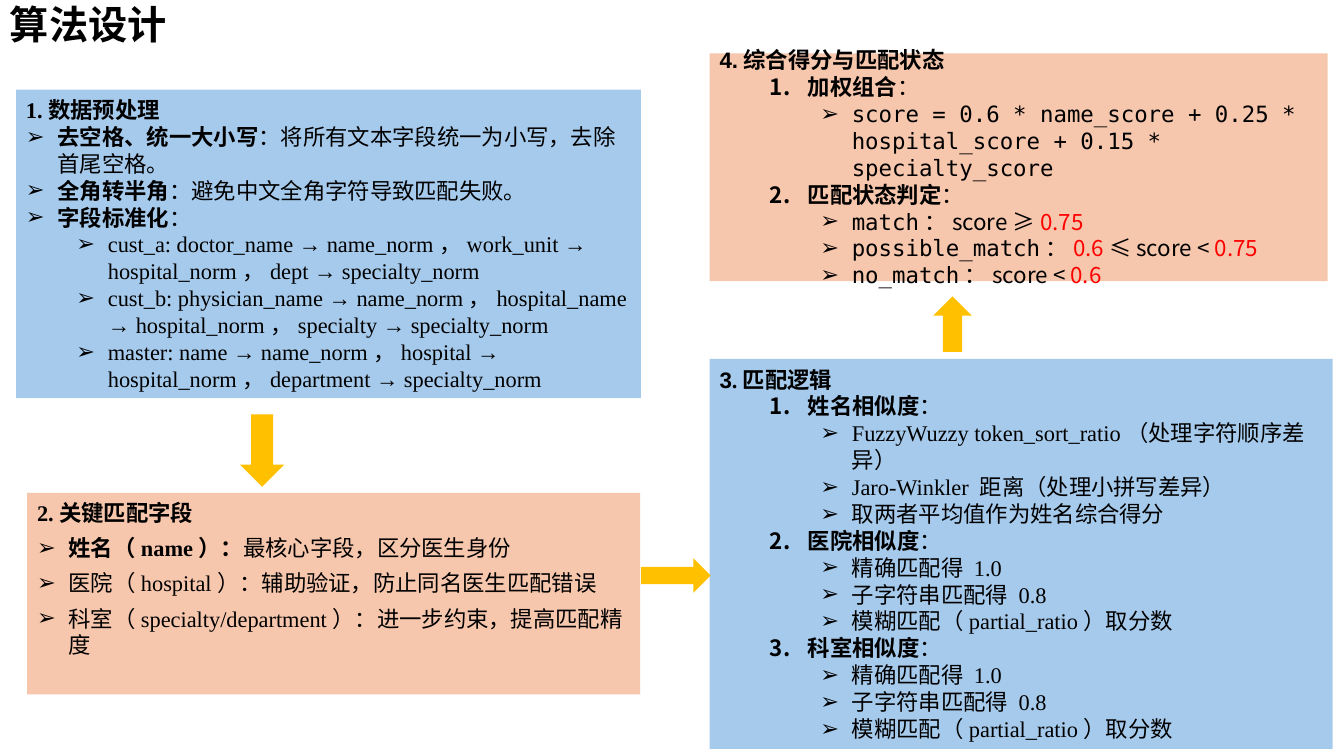
from dataclasses import dataclass

from lxml import etree
from pptx import Presentation
from pptx.dml import color
from pptx.enum import shapes, text
from pptx.oxml import ns
from pptx.util import Pt


@dataclass(frozen=True)
class Theme:
    blue: str = "A6CAEC"
    peach: str = "F6C6AD"
    gold: str = "FFC000"
    ink: str = "000000"
    red: str = "FF0000"
    serif: str = "Times New Roman"
    sans: str = "Arial"
    mono: str = "DejaVu Sans Mono"
    cjk: str = "Noto Sans CJK SC"
    title: int = 28
    body: int = 16


THEME = Theme()
KINDS = {
    "head": (0, 0, 0, None),
    "point": (0, 22.5, 22.5, "➢"),
    "sub": (1, 58.5, 22.5, "➢"),
    "step": (1, 63, 27, "1."),
    "item": (2, 94.5, 22.5, "➢"),
}

PREP = [
    ("head", "1.数据预处理"),
    ("point", ("去空格、统一大小写", "bold"), "：将所有文本字段统一为小写，去除首尾空格。"),
    ("point", ("全角转半角", "bold"), "：避免中文全角字符导致匹配失败。"),
    ("point", ("字段标准化", "bold"), "："),
    ("sub", "cust_a: doctor_name → name_norm，work_unit → hospital_norm，dept → specialty_norm"),
    ("sub", "cust_b: physician_name → name_norm，hospital_name → hospital_norm，specialty → specialty_norm"),
    ("sub", "master: name → name_norm，hospital → hospital_norm，department → specialty_norm"),
]
FIELDS = [
    ("head", "2.关键匹配字段"),
    ("point", ("姓名（name）：", "bold"), "最核心字段，区分医生身份"),
    ("point", "医院（hospital）：辅助验证，防止同名医生匹配错误"),
    ("point", "科室（specialty/department）：进一步约束，提高匹配精度"),
]
GRADES = [
    ("item", "精确匹配得 1.0"),
    ("item", "子字符串匹配得 0.8"),
    ("item", "模糊匹配（partial_ratio）取分数"),
]
LOGIC = [
    ("head", ("3", "sans"), ".匹配逻辑"),
    ("step", ("姓名相似度", "bold"), "："),
    ("item", "FuzzyWuzzy token_sort_ratio（处理字符顺序差异）"),
    ("item", "Jaro-Winkler 距离（处理小拼写差异）"),
    ("item", "取两者平均值作为姓名综合得分"),
    ("step", ("医院相似度", "bold"), "："),
    *GRADES,
    ("step", ("科室相似度", "bold"), "："),
    *GRADES,
]
SCORE = [
    ("head", "4.综合得分与匹配状态"),
    ("step", ("加权组合", "bold"), "："),
    ("item", ("score = 0.6 * name_score + 0.25 * hospital_score + 0.15 * specialty_score", "mono")),
    ("step", ("匹配状态判定", "bold"), "："),
    ("item", ("match", "mono"), ("：score ≥ ", "cjk"), ("0.75", "red")),
    ("item", ("possible_match", "mono"), ("：", "cjk"), ("0.6", "red"),
     (" ≤ score < ", "cjk"), ("0.75", "red")),
    ("item", ("no_match", "mono"), ("：score < ", "cjk"), ("0.6", "red")),
]


def set_font(font, face, size, bold):
    font.name = face
    font.size = Pt(size)
    font.bold = bold
    font.color.rgb = color.RGBColor.from_string(THEME.ink)


def add_mark(para, left, hang, mark):
    props = para._p.get_or_add_pPr()
    props.set("marL", str(Pt(left)))
    props.set("indent", str(-Pt(hang)))
    face = THEME.cjk if mark == "1." else THEME.sans
    etree.SubElement(props, ns.qn("a:buFont")).set("typeface", face)
    if mark == "1.":
        etree.SubElement(props, ns.qn("a:buAutoNum")).set("type", "arabicPeriod")
    else:
        etree.SubElement(props, ns.qn("a:buChar")).set("char", mark)


def add_span(para, span):
    words, style = (span, None) if isinstance(span, str) else span
    run = para.add_run()
    run.text = words
    if style == "bold":
        run.font.bold = True
    elif style == "red":
        run.font.name = THEME.cjk
        run.font.color.rgb = color.RGBColor.from_string(THEME.red)
    elif style:
        run.font.name = getattr(THEME, style)


def fill_text(frame, lines, face, gap):
    for index, (kind, *spans) in enumerate(lines):
        para = frame.add_paragraph() if index else frame.paragraphs[0]
        level, left, hang, mark = KINDS[kind]
        para.level = level
        para.alignment = text.PP_ALIGN.LEFT
        if mark:
            add_mark(para, left, hang, mark)
            para.space_before = Pt(gap)
        set_font(para.font, face, THEME.body, kind == "head")
        for span in spans:
            add_span(para, span)


def add_shape(slide, kind, area, fill):
    shape = slide.shapes.add_shape(kind, *map(Pt, area))
    shape.shadow.inherit = False
    shape.fill.solid()
    shape.fill.fore_color.rgb = color.RGBColor.from_string(fill)
    shape.line.fill.background()
    return shape


def add_panel(slide, area, fill, lines, face=THEME.serif, gap=0, foot=3.6):
    frame = add_shape(slide, shapes.MSO_SHAPE.RECTANGLE, area, fill).text_frame
    frame.word_wrap = True
    frame.vertical_anchor = text.MSO_ANCHOR.MIDDLE
    frame.margin_bottom = Pt(foot)
    fill_text(frame, lines, face, gap)


def add_title(slide, area, words):
    frame = slide.shapes.add_textbox(*map(Pt, area)).text_frame
    frame.word_wrap = True
    para = frame.paragraphs[0]
    set_font(para.font, THEME.sans, THEME.title, True)
    add_span(para, words)


def main():
    deck = Presentation()
    deck.slide_width, deck.slide_height = Pt(960), Pt(540)
    slide = deck.slides.add_slide(deck.slide_layouts[6])
    add_panel(slide, (11.5, 64.1, 446.4, 220.3), THEME.blue, PREP)
    add_panel(slide, (19.4, 352.1, 437.8, 144), THEME.peach, FIELDS, gap=6, foot=25)
    add_panel(slide, (506.9, 256.3, 445, 278.6), THEME.blue, LOGIC)
    add_panel(slide, (506.9, 38.2, 441.4, 162.7), THEME.peach, SCORE, THEME.sans)
    add_title(slide, (0, -3.6, 506.9, 41), "算法设计")
    arrows = [
        (shapes.MSO_SHAPE.DOWN_ARROW, (171.4, 295.9, 31.7, 51.8)),
        (shapes.MSO_SHAPE.RIGHT_ARROW, (457.9, 398.9, 49.7, 24.5)),
        (shapes.MSO_SHAPE.UP_ARROW, (666.7, 211.7, 27.4, 39.6)),
    ]
    for kind, area in arrows:
        add_shape(slide, kind, area, THEME.gold)
    deck.save("out.pptx")


if __name__ == "__main__":
    main()
